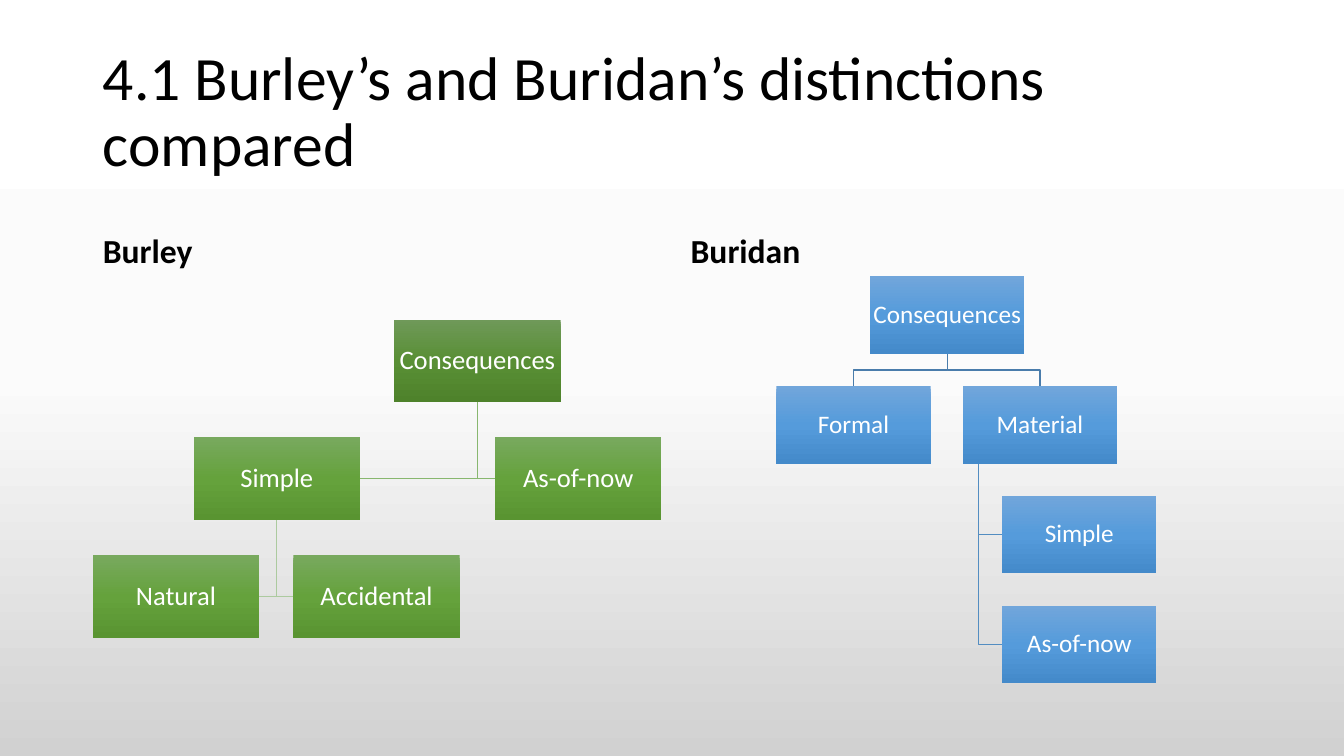
from collections import namedtuple
from dataclasses import dataclass

from lxml.etree import SubElement
from pptx import Presentation
from pptx.dml.color import RGBColor
from pptx.enum.shapes import MSO_SHAPE
from pptx.enum.text import MSO_ANCHOR, MSO_AUTO_SIZE, PP_ALIGN
from pptx.oxml.ns import qn
from pptx.util import Inches, Pt


@dataclass(frozen=True)
class Theme:
    font: str = "Calibri"
    text: str = "000000"
    box_text: str = "FFFFFF"
    title_size: int = 44
    heading_size: int = 24
    burley_size: int = 19
    buridan_size: int = 18
    background: tuple = ("FFFFFF", "FBFBFB", "D1D1D1")
    blue: tuple = ("71A6DB", "559BDB", "448ACA")
    green: tuple = ("78A95E", "65A23C", "599431")
    dark_green: tuple = ("6F9959", "598F35", "4E822B")
    blue_line: str = "497CAB"
    light_blue_line: str = "538DC1"
    green_line: str = "88B76F"
    light_green_line: str = "ACCA9F"


Box = namedtuple("Box", "left top width height")


def center(box):
    return box.left + box.width / 2, box.top + box.height / 2


def bottom(box):
    return box.top + box.height


def write_text(shape, text, *, font, size, color, bold=False,
               align=PP_ALIGN.LEFT, anchor=MSO_ANCHOR.MIDDLE,
               space_before=0, inset=None):
    frame = shape.text_frame
    frame.word_wrap = True
    frame.auto_size = MSO_AUTO_SIZE.NONE
    frame.vertical_anchor = anchor
    if inset is not None:
        frame.margin_left = frame.margin_right = Inches(inset)
        frame.margin_top = frame.margin_bottom = Inches(inset)
    paragraph = frame.paragraphs[0]
    paragraph.alignment = align
    paragraph.line_spacing = 0.9
    paragraph.space_before = Pt(space_before)
    run = paragraph.add_run()
    run.text = text
    run.font.name = font
    run.font.size = Pt(size)
    run.font.bold = bold
    run.font.color.rgb = RGBColor.from_string(color)


def fill_gradient(fill, element, colors):
    """Blend evenly spaced colours from top to bottom."""
    fill.gradient()
    fill.gradient_angle = 270
    stops = element.xpath(".//a:gsLst")[0]
    for stop in list(stops):
        stops.remove(stop)
    for index, color in enumerate(colors):
        position = index * 100000 // (len(colors) - 1)
        stop = SubElement(stops, qn("a:gs"), pos=str(position))
        SubElement(stop, qn("a:srgbClr"), val=color)


class SlideBuilder:
    def __init__(self, slide, theme):
        self.slide = slide
        self.theme = theme

    def background(self):
        fill_gradient(self.slide.background.fill, self.slide.element,
                      self.theme.background)

    def placeholder(self, index, text, box, **text_format):
        shape = self.slide.placeholders[index]
        shape.left, shape.top, shape.width, shape.height = map(Inches, box)
        write_text(shape, text, font=self.theme.font, color=self.theme.text,
                   **text_format)

    def remove_empty_placeholders(self):
        for shape in list(self.slide.placeholders):
            if not shape.text_frame.text:
                shape.element.getparent().remove(shape.element)

    def node(self, text, box, colors, size):
        shape = self.slide.shapes.add_shape(MSO_SHAPE.RECTANGLE,
                                            *map(Inches, box))
        shape.shadow.inherit = False
        fill_gradient(shape.fill, shape.element, colors)
        shape.line.fill.background()
        write_text(shape, text, font=self.theme.font, size=size,
                   color=self.theme.box_text, align=PP_ALIGN.CENTER,
                   inset=0.01)

    def branch(self, points, color):
        start, *others = [(Inches(x), Inches(y)) for x, y in points]
        builder = self.slide.shapes.build_freeform(*start)
        builder.add_line_segments(others, close=False)
        shape = builder.convert_to_shape()
        shape.shadow.inherit = False
        shape.fill.background()
        shape.line.color.rgb = RGBColor.from_string(color)
        shape.line.width = Pt(1)

    def side_branches(self, parent, left_child, right_child, color):
        """Drop from the parent, then turn to the facing sides of two boxes."""
        x, _ = center(parent)
        _, y = center(left_child)
        for end in (left_child.left + left_child.width, right_child.left):
            self.branch([(x, bottom(parent)), (x, y), (end, y)], color)

    def top_branches(self, parent, children, color):
        """Fork from the parent to the tops of its children."""
        x, _ = center(parent)
        for child in children:
            end, _ = center(child)
            middle = (bottom(parent) + child.top) / 2
            self.branch([(x, bottom(parent)), (x, middle), (end, middle),
                         (end, child.top)], color)

    def hanging_branches(self, parent, children, color):
        """Hang children from a trunk near the parent's left edge."""
        x = parent.left + parent.width / 10
        for child in children:
            _, y = center(child)
            self.branch([(x, bottom(parent)), (x, y), (child.left, y)], color)


def draw_burley(builder):
    theme = builder.theme

    def place(left, level):
        return Box(left, 3.17 + 1.17 * level, 1.65, 0.82)

    root = place(3.91, 0)
    simple, as_of_now = place(1.92, 1), place(4.91, 1)
    natural, accidental = place(0.92, 2), place(2.91, 2)
    builder.side_branches(root, simple, as_of_now, theme.green_line)
    builder.side_branches(simple, natural, accidental, theme.light_green_line)
    builder.node("Consequences", root, theme.dark_green, theme.burley_size)
    for text, box in (("Simple", simple), ("Natural", natural),
                      ("Accidental", accidental), ("As-of-now", as_of_now)):
        builder.node(text, box, theme.green, theme.burley_size)


def draw_buridan(builder):
    theme = builder.theme

    def place(left, level):
        return Box(left, 2.74 + 1.09 * level, 1.53, 0.77)

    root = place(8.63, 0)
    formal, material = place(7.7, 1), place(9.55, 1)
    simple, as_of_now = place(9.94, 2), place(9.94, 3)
    builder.hanging_branches(material, (simple, as_of_now),
                             theme.light_blue_line)
    builder.top_branches(root, (formal, material), theme.blue_line)
    for text, box in (("Consequences", root), ("Formal", formal),
                      ("Material", material), ("Simple", simple),
                      ("As-of-now", as_of_now)):
        builder.node(text, box, theme.blue, theme.buridan_size)


def main():
    presentation = Presentation()
    presentation.slide_width = Inches(13.33)
    presentation.slide_height = Inches(7.5)
    theme = Theme()
    comparison_layout = presentation.slide_layouts[4]
    builder = SlideBuilder(presentation.slides.add_slide(comparison_layout),
                           theme)
    builder.background()

    # Title and column headings
    builder.placeholder(0, "4.1 Burley’s and Buridan’s distinctions compared",
                        Box(0.92, 0.4, 11.5, 1.45), size=theme.title_size)
    for index, text, left, width in ((1, "Burley", 0.92, 5.64),
                                     (3, "Buridan", 6.75, 5.67)):
        builder.placeholder(index, text, Box(left, 1.84, width, 0.9),
                            size=theme.heading_size, bold=True,
                            anchor=MSO_ANCHOR.BOTTOM, space_before=10)
    builder.remove_empty_placeholders()

    # Trees of consequences
    draw_buridan(builder)
    draw_burley(builder)

    presentation.save("out.pptx")


if __name__ == "__main__":
    main()
